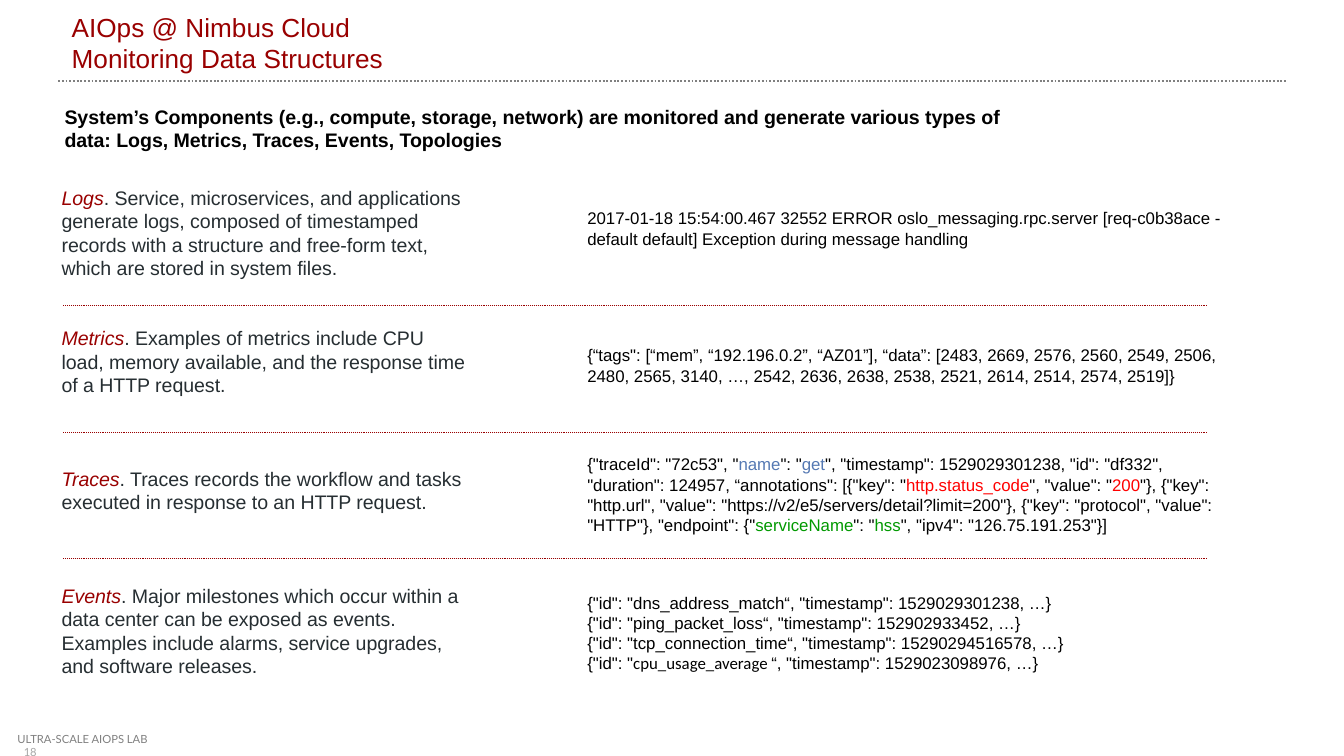
from lxml import etree
from pptx import Presentation
from pptx import util as u
from pptx.dml.color import RGBColor
from pptx.enum import dml, shapes, text
from pptx.oxml import ns

DARK_RED = RGBColor(0x99, 0x00, 0x00)
SLATE = RGBColor(0x26, 0x2E, 0x32)
BLACK = RGBColor(0x00, 0x00, 0x00)
GRAY = RGBColor(0x80, 0x80, 0x80)
LIGHT_GRAY = RGBColor(0xA6, 0xA6, 0xA6)
BLUE = RGBColor(0x55, 0x79, 0xB3)
RED = RGBColor(0xFF, 0x00, 0x00)
GREEN = RGBColor(0x00, 0x99, 0x00)

# Data type, description, and space above in points
DESCRIPTIONS = [
    ("Logs", ". Service, microservices, and applications generate logs, composed of "
     "timestamped records with a structure and free-form text, which are stored in "
     "system files.", 0),
    ("Metrics", ". Examples of metrics include CPU load, memory available, and the "
     "response time of a HTTP request.", 25),
    ("Traces", ". Traces records the workflow and tasks executed in response to an "
     "HTTP request.", 37.5),
    ("Events", ". Major milestones which occur within a data center can be exposed as "
     "events. Examples include alarms, service upgrades, and software releases.", 37.5),
]

# Each sample is a list of paragraphs, each paragraph a list of (text, format)
LOG_SAMPLE = [[("2017-01-18 15:54:00.467 32552 ERROR oslo_messaging.rpc.server "
                "[req-c0b38ace - default default] Exception during message handling", {})]]
METRIC_SAMPLE = [[("{“tags\": [“mem”, “192.196.0.2”, “AZ01”], “data”: [2483, 2669, 2576, "
                   "2560, 2549, 2506, 2480, 2565, 3140, …, 2542, 2636, 2638, 2538, 2521, "
                   "2614, 2514, 2574, 2519]}", {})]]
TRACE_SAMPLE = [[
    ('{"traceId": "72c53", "', {}),
    ("name", {"color": BLUE}),
    ('": "', {}),
    ("get", {"color": BLUE}),
    ('", "timestamp": 1529029301238, "id": "df332", "duration": 124957, '
     '“annotations": [{"key": "', {}),
    ("http.status_code", {"color": RED}),
    ('", "value": "', {}),
    ("200", {"color": RED}),
    ('"}, {"key": "http.url", "value": "https://v2/e5/servers/detail?limit=200"}, '
     '{"key": "protocol", "value": "HTTP"}, "endpoint": {"', {}),
    ("serviceName", {"color": GREEN}),
    ('": "', {}),
    ("hss", {"color": GREEN}),
    ('", "ipv4": "126.75.191.253"}]', {}),
]]
EVENTS = [
    ("dns_address_match", "1529029301238", "Arial"),
    ("ping_packet_loss", "152902933452", "Arial"),
    ("tcp_connection_time", "15290294516578", "Arial"),
    ("cpu_usage_average ", "1529023098976", "Calibri"),
]
EVENT_SAMPLE = [
    [('{"id": "', {}), (name, {"font": font}), (f'“, "timestamp": {time}, …}}', {})]
    for name, time, font in EVENTS
]


def add_text(paragraph, content, font="Arial", size=9, color=BLACK, bold=False, italic=False):
    run = paragraph.add_run()
    run.text = content
    run.font.name = font
    run.font.size = u.Pt(size)
    run.font.color.rgb = color
    run.font.bold = bold
    run.font.italic = italic


class SlideBuilder:
    body_size = 10.5
    title_size = 14

    def __init__(self, presentation):
        self.slide = presentation.slides.add_slide(presentation.slide_layouts[1])

    def place(self, shape, left, top, width, height):
        shape.left, shape.top = u.Cm(left), u.Cm(top)
        shape.width, shape.height = u.Cm(width), u.Cm(height)
        shape.text_frame.auto_size = text.MSO_AUTO_SIZE.NONE
        shape.text_frame.word_wrap = True
        return shape.text_frame

    def title(self, lines, *box):
        frame = self.place(self.slide.shapes.title, *box)
        frame.vertical_anchor = text.MSO_ANCHOR.BOTTOM
        paragraph = frame.paragraphs[0]
        paragraph.alignment = text.PP_ALIGN.LEFT
        for index, line in enumerate(lines):
            if index:
                paragraph.add_line_break()
            add_text(paragraph, line, size=self.title_size, color=DARK_RED)

    def descriptions(self, items, *box):
        frame = self.place(self.slide.placeholders[1], *box)
        for index, (term, description, space) in enumerate(items):
            paragraph = frame.add_paragraph() if index else frame.paragraphs[0]
            properties = paragraph._p.get_or_add_pPr()
            properties.set("marL", "0")
            properties.set("indent", "0")
            etree.SubElement(properties, ns.qn("a:buNone"))
            paragraph.space_before = u.Pt(space)
            add_text(paragraph, term, size=self.body_size, color=DARK_RED, italic=True)
            add_text(paragraph, description, size=self.body_size, color=SLATE)

    def text_box(self, paragraphs, *box):
        shape = self.slide.shapes.add_textbox(0, 0, 0, 0)
        frame = self.place(shape, *box)
        for index, runs in enumerate(paragraphs):
            paragraph = frame.add_paragraph() if index else frame.paragraphs[0]
            for content, style in runs:
                add_text(paragraph, content, **style)
        return frame

    def dotted_line(self, left, right, y, color, width):
        line = self.slide.shapes.add_connector(
            shapes.MSO_CONNECTOR.STRAIGHT, u.Cm(left), u.Cm(y), u.Cm(right), u.Cm(y))
        line.line.color.rgb = color
        line.line.width = u.Pt(width)
        line.line.dash_style = dml.MSO_LINE.ROUND_DOT
        etree.SubElement(line._element.spPr, ns.qn("a:effectLst"))


def main():
    presentation = Presentation()
    presentation.slide_width = u.Cm(25.4)
    presentation.slide_height = u.Cm(14.29)
    builder = SlideBuilder(presentation)

    # Footer
    footer = builder.text_box(
        [[("ULTRA-SCALE AIOPS LAB", {"font": "Lato", "size": 6, "color": GRAY})],
         [("18", {"font": "Lato", "size": 6, "color": LIGHT_GRAY})]],
        0.33, 13.84, 2.82, 0.45)
    footer.margin_left = footer.margin_top = footer.margin_right = footer.margin_bottom = 0
    footer.paragraphs[1]._p.get_or_add_pPr().set("marL", str(u.Cm(0.12)))

    # Title and its rule
    builder.dotted_line(1.1, 24.3, 1.53, GRAY, 1)
    builder.title(["AIOps @ Nimbus Cloud", "Monitoring Data Structures"], 1.1, 0, 23.2, 1.53)

    # Summary
    builder.text_box(
        [[("System’s Components (e.g., compute, storage, network) are monitored and generate "
           "various types of data: Logs, Metrics, Traces, Events, Topologies",
           {"size": builder.body_size, "bold": True})]],
        0.97, 1.85, 18.75, 1.15)

    # Descriptions on the left, samples on the right
    builder.descriptions(DESCRIPTIONS, 0.91, 3.38, 8.18, 9.68)
    for sample, top, height in [(LOG_SAMPLE, 3.81, 1.02), (METRIC_SAMPLE, 6.4, 1.02),
                                (TRACE_SAMPLE, 8.46, 1.8), (EVENT_SAMPLE, 11.07, 1.8)]:
        builder.text_box(sample, 10.85, top, 12.57, height)

    # Row separators
    for row in range(3):
        builder.dotted_line(1.2, 22.8, 5.78 + row * 2.39, DARK_RED, 0.5)

    presentation.save("out.pptx")


if __name__ == "__main__":
    main()
